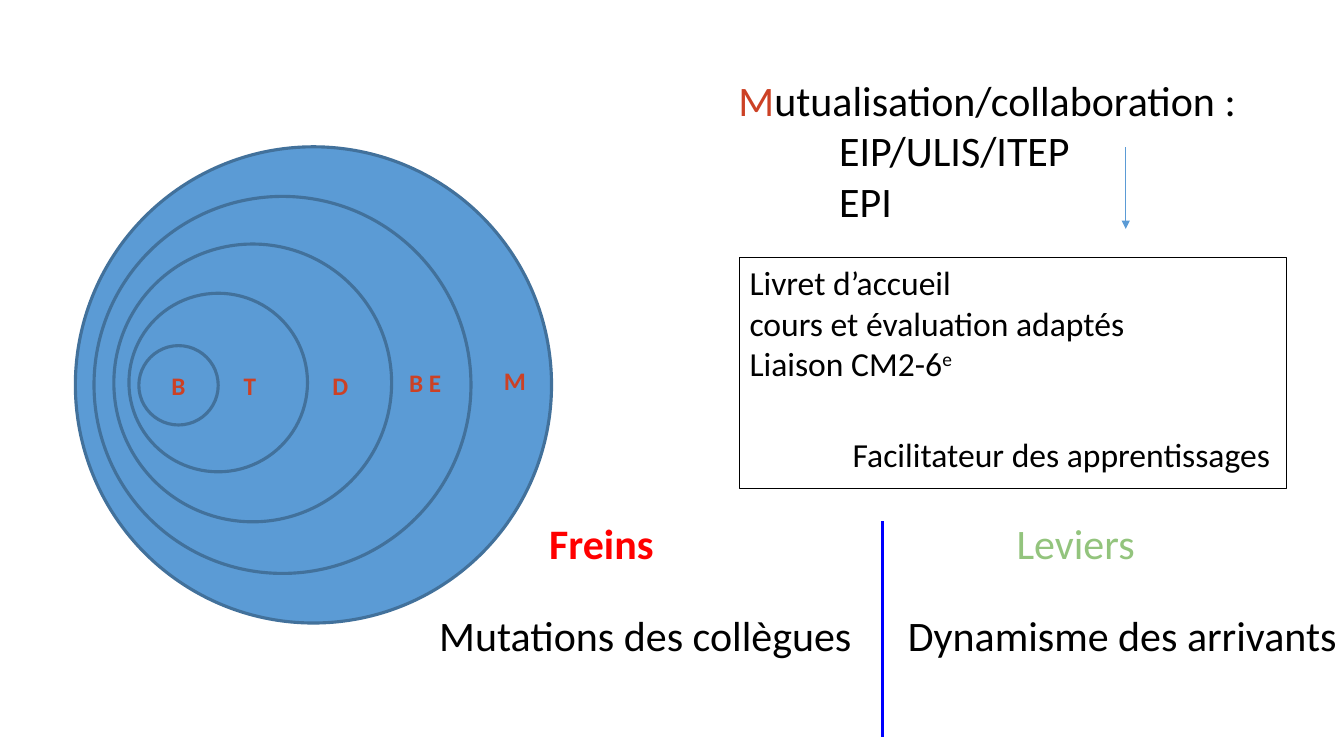
from pptx import Presentation, util as u
from pptx.dml.color import RGBColor
from pptx.enum import shapes, text
from pptx.oxml.ns import qn
from lxml import etree

COLORS = {"blue": "5B9BD5", "edge": "42719B", "brick": "CC4125", "black": "000000",
          "red": "FF0000", "green": "93C47D", "divider": "0000FF"}
FONT = "Calibri"

# Left edge and centre height in cm, from the largest circle to the smallest
CIRCLES = [(1.9, 9.7), (2.37, 9.7), (2.87, 9.65), (3.25, 9.64), (3.5, 9.71)]
LARGEST, STEP = 12, 2.5
CORE_LETTER = "B"

# Text, place (left, top, width, height), size, colour, bold
LABELS = [
    ("T", (5.89, 9.19, 0.81, 1.02), 18, "brick", True),
    ("D", (8.13, 9.19, 0.91, 1.02), 18, "brick", True),
    ("B E", (10.06, 9.12, 1.32, 1.02), 18, "brick", True),
    ("M", (12.45, 9.07, 1.07, 1.02), 18, "brick", True),
    ("Freins", (13.59, 12.9, 3.51, 1.55), 30, "red", True),
    ("Leviers", (25.37, 12.9, 3.51, 1.55), 30, "green", False),
    ("Mutations des collègues", (10.82, 15.24, 12.24, 1.8), 30, "black", False),
    ("Dynamisme des arrivants", (22.63, 15.22, 11.2, 1.8), 30, "black", False),
]
SHARING = ["Mutualisation/collaboration :", "EIP/ULIS/ITEP", "EPI"]
SHARING_PLACE = (18.36, 1.75, 13.18, 4.11)
TOOLS = ["Livret d’accueil", "cours et évaluation adaptés", "Liaison CM2-6",
         "Facilitateur des apprentissages"]
TOOLS_PLACE = (18.64, 6.48, 13.79, 5.82)
ARROW = (28.37, 3.71, 5.77)
DIVIDER = (22.25, 13.13, 18.57)


def rgb(name):
    return RGBColor.from_string(COLORS[name])


def cm(values):
    return [u.Cm(v) for v in values]


def style(r, size, color, bold=False):
    r.font.name, r.font.size, r.font.bold = FONT, u.Pt(size), bold
    r.font.color.rgb = rgb(color)


def write(sp, lines, size, color, bold=False):
    tf = sp.text_frame
    tf.word_wrap = True
    tf.margin_left, tf.margin_right = u.Cm(0.25), 0
    tf.margin_top = tf.margin_bottom = u.Cm(0.13)
    tf.vertical_anchor = text.MSO_ANCHOR.TOP
    tf.text = "\n".join(lines)
    for p in tf.paragraphs:
        p.alignment = text.PP_ALIGN.LEFT
        for r in p.runs:
            style(r, size, color, bold)
    return tf


def indent(p, left, first):
    p_pr = p._p.get_or_add_pPr()
    p_pr.set("marL", str(u.Cm(left)))
    p_pr.set("indent", str(u.Cm(first)))


def add_shape(s, kind, place, fill, edge, width):
    sp = s.shapes.add_shape(kind, *cm(place))
    sp.shadow.inherit = False
    if fill:
        sp.fill.solid()
        sp.fill.fore_color.rgb = rgb(fill)
    else:
        sp.fill.background()
    sp.line.color.rgb, sp.line.width = rgb(edge), u.Pt(width)
    return sp


def add_vertical(s, x, top, bottom, color, width):
    line = s.shapes.add_connector(shapes.MSO_CONNECTOR.STRAIGHT, *cm((x, top, x, bottom)))
    line.line.color.rgb, line.line.width = rgb(color), u.Pt(width)
    etree.SubElement(line._element.spPr, qn("a:effectLst"))
    return line


def main():
    """Build the slide of nested circles, shared work, obstacles and levers."""
    prs = Presentation()
    prs.slide_width, prs.slide_height = u.Cm(33.87), u.Cm(19.05)
    s = prs.slides.add_slide(prs.slide_layouts[6])

    for i, (left, middle) in enumerate(CIRCLES):
        d = LARGEST - i * STEP
        circle = add_shape(s, shapes.MSO_SHAPE.OVAL, (left, middle - d / 2, d, d),
                           "blue", "edge", 2.25)
    tf = write(circle, [CORE_LETTER], 18, "brick", True)
    tf.margin_right = tf.margin_left
    tf.vertical_anchor = text.MSO_ANCHOR.MIDDLE
    tf.paragraphs[0].alignment = text.PP_ALIGN.CENTER

    for label, place, size, color, bold in LABELS:
        write(s.shapes.add_textbox(*cm(place)), [label], size, color, bold)

    tf = write(s.shapes.add_textbox(*cm(SHARING_PLACE)), SHARING, 30, "black")
    heading, *projects = tf.paragraphs
    initial = heading.runs[0]
    rest = heading.add_run()
    initial.text, rest.text = SHARING[0][:1], SHARING[0][1:]
    style(initial, 30, "brick")
    style(rest, 30, "black")
    for p in projects:
        indent(p, 1.27, 1.27)

    box = add_shape(s, shapes.MSO_SHAPE.RECTANGLE, TOOLS_PLACE, None, "black", 0.75)
    tf = write(box, TOOLS, 24, "black")
    liaison, outcome = tf.paragraphs[2:]
    r = liaison.add_run()
    r.text = "e"
    style(r, 24, "black")
    r.font._element.set("baseline", "30000")
    indent(outcome, 0, 2.6)
    outcome.space_before = u.Pt(36)

    arrow = add_vertical(s, *ARROW, "blue", 0.75)
    etree.SubElement(arrow.line._get_or_add_ln(), qn("a:tailEnd"), type="triangle")
    add_vertical(s, *DIVIDER, "divider", 2.25)

    prs.save("out.pptx")


if __name__ == "__main__":
    main()
